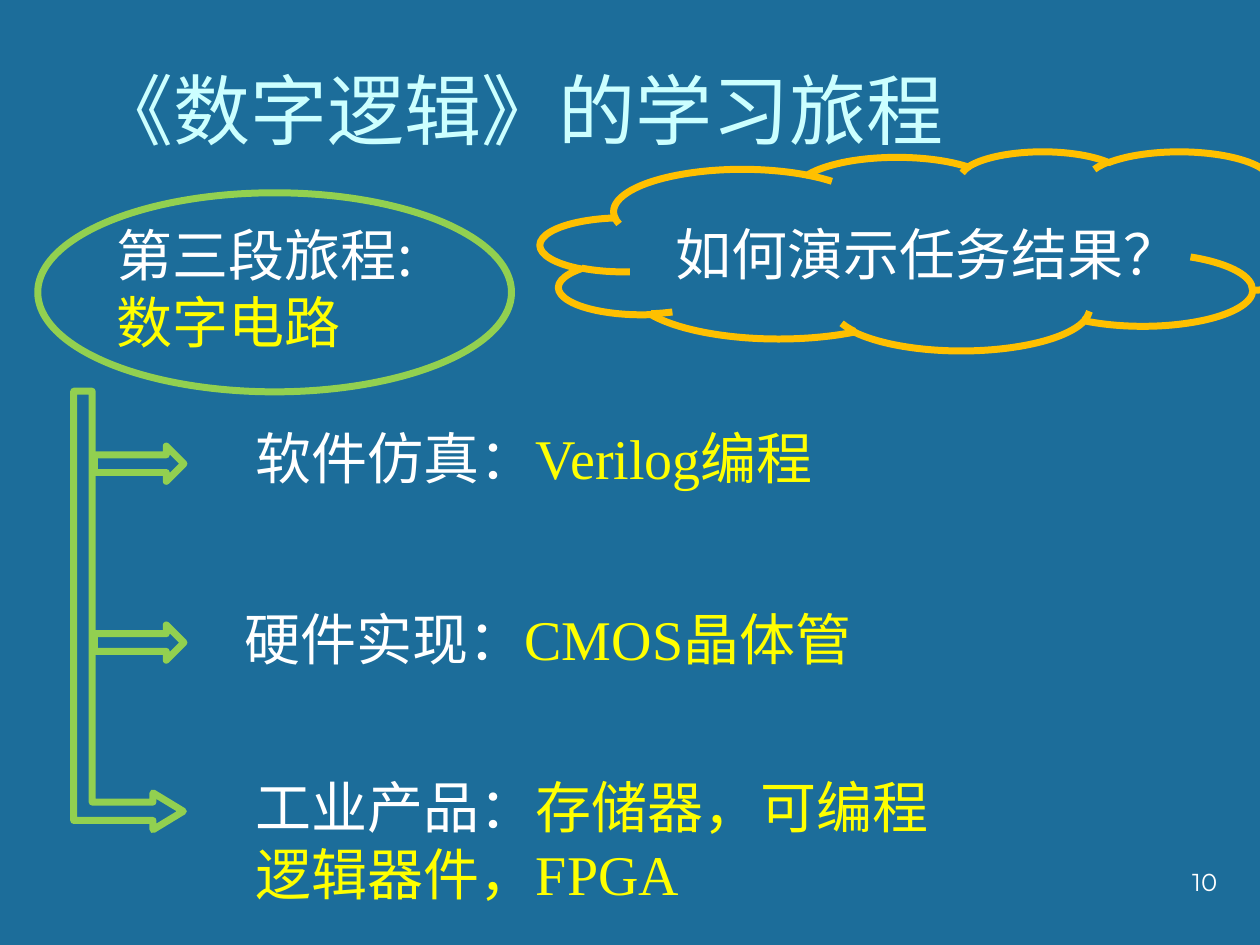
from lxml.etree import SubElement
from pptx import Presentation
from pptx.dml.color import RGBColor
from pptx.enum.shapes import MSO_SHAPE as Preset
from pptx.enum.text import MSO_ANCHOR as Anchor, MSO_AUTO_SIZE as AutoSize, PP_ALIGN as Align
from pptx.oxml.ns import qn
from pptx.util import Inches, Pt

CJK, SERIF, SANS = "Noto Sans CJK SC", "Times New Roman", "Montserrat"
BLUE, CYAN, WHITE, YELLOW = "1C6D9A", "CCFFFF", "FFFFFF", "FFFF00"
GREEN, ORANGE = "92D050", "FFC000"


def rgb(value):
    return RGBColor.from_string(value)


def add_text(slide, box, paragraphs, size=32, anchor=Anchor.TOP, align=Align.LEFT, grow=True):
    """Each paragraph is a list of (wording, colour, font) runs."""
    frame = slide.shapes.add_textbox(*map(Inches, box)).text_frame
    frame.word_wrap = True
    frame.auto_size = AutoSize.SHAPE_TO_FIT_TEXT if grow else AutoSize.NONE
    frame.vertical_anchor = anchor
    for index, runs in enumerate(paragraphs):
        paragraph = frame.add_paragraph() if index else frame.paragraphs[0]
        paragraph.alignment = align
        paragraph.font.size = Pt(size)
        for wording, color, font in runs:
            run = paragraph.add_run()
            run.text = wording
            run.font.size = Pt(size)
            run.font.color.rgb = rgb(color)
            run.font.name = font
            SubElement(run.font._element, qn("a:ea"), typeface=font)


def add_outline(slide, preset, box, color, rotation=0, adjustments=()):
    shape = slide.shapes.add_shape(preset, *map(Inches, box))
    shape.shadow.inherit = False
    shape.fill.background()
    shape.line.color.rgb = rgb(color)
    shape.line.width = Pt(4)
    shape.rotation = rotation
    for index, value in enumerate(adjustments):
        shape.adjustments[index] = value


def add_stage(slide, box, label, *topics):
    add_text(slide, box, [[(label, WHITE, CJK)] + [(text, YELLOW, font) for text, font in topics]])


def main():
    prs = Presentation()
    prs.slide_width, prs.slide_height = Inches(10), Inches(7.5)
    slide = prs.slides.add_slide(prs.slide_layouts[6])
    slide.background.fill.solid()
    slide.background.fill.fore_color.rgb = rgb(BLUE)

    add_text(slide, (0.67, 0.44, 8.5, 0.84), [[("《数字逻辑》的学习旅程", CYAN, CJK)]],
             size=44, anchor=Anchor.BOTTOM)
    add_text(slide, (0.83, 1.7, 3.7, 1.18),
             [[("第三段旅程:", WHITE, CJK)], [("数字电路", YELLOW, CJK)]])
    add_outline(slide, Preset.OVAL, (0.3, 1.53, 3.76, 1.58), GREEN)

    for arrow_top in (4.96, 3.54):
        add_outline(slide, Preset.RIGHT_ARROW, (0.75, arrow_top, 0.71, 0.28), GREEN)
    add_outline(slide, Preset.BENT_UP_ARROW, (-0.72, 4.41, 3.48, 0.87), GREEN,
                rotation=90, adjustments=(0.168, 0.168, 0.277))

    add_stage(slide, (1.93, 3.31, 6.41, 0.64), "软件仿真：", ("Verilog", SERIF), ("编程", CJK))
    add_stage(slide, (1.84, 4.75, 5.59, 0.64), "硬件实现：", ("CMOS", SERIF), ("晶体管", CJK))
    add_stage(slide, (1.93, 6.08, 5.59, 1.18), "工业产品：",
              ("存储器，可编程逻辑器件，", CJK), ("FPGA", SERIF))

    add_text(slide, (5.26, 1.69, 4.77, 0.64), [[("如何演示任务结果？", WHITE, CJK)]])
    add_outline(slide, Preset.CLOUD, (4.29, 1.2, 6.53, 1.58), ORANGE)

    add_text(slide, (7.68, 6.83, 2.08, 0.5), [[("10", WHITE, SANS)]],
             size=14, align=Align.RIGHT, grow=False)
    prs.save("out.pptx")


if __name__ == "__main__":
    main()
